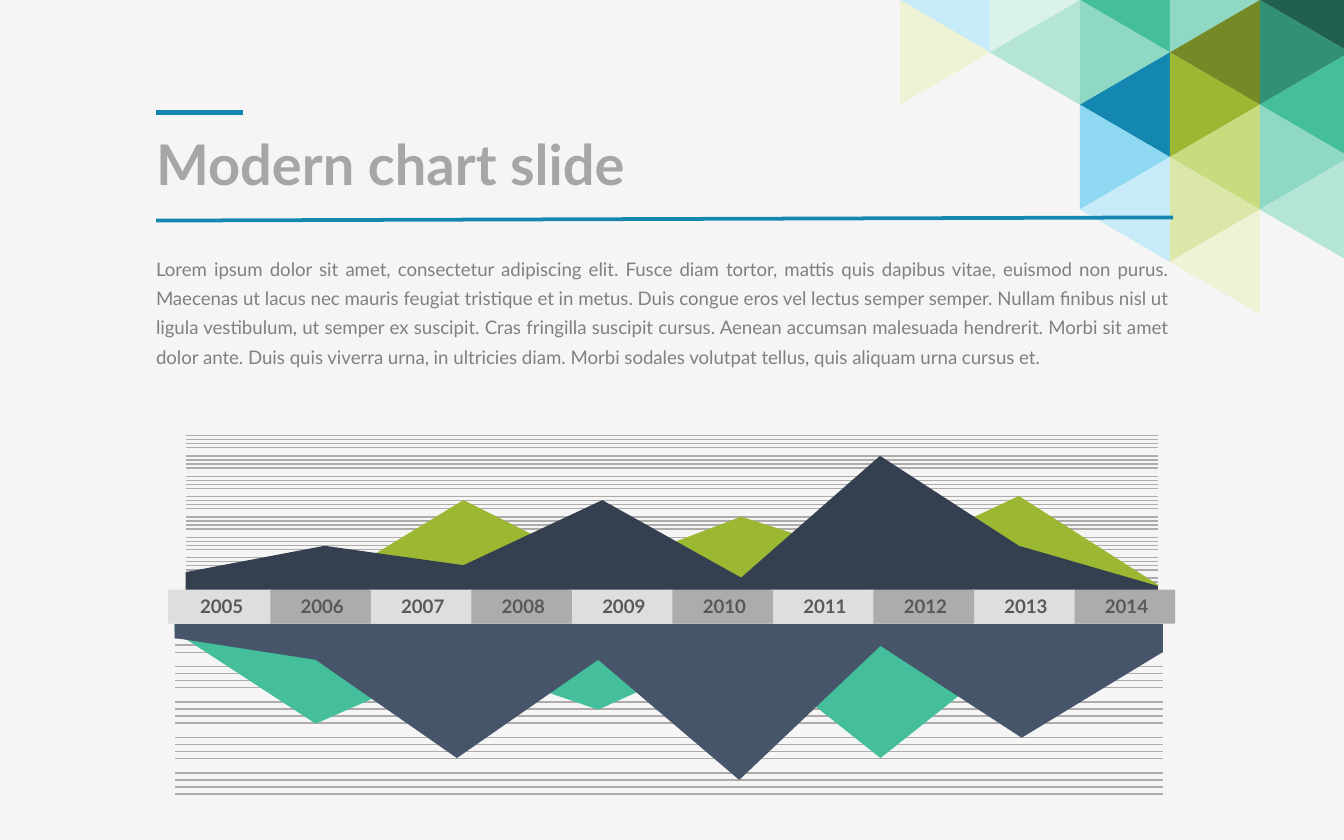
from dataclasses import dataclass

from lxml import etree
from pptx import Presentation
from pptx.chart.data import CategoryChartData
from pptx.dml.color import RGBColor
from pptx.enum.chart import XL_CHART_TYPE
from pptx.enum.shapes import MSO_CONNECTOR, MSO_SHAPE
from pptx.enum.text import MSO_ANCHOR, MSO_AUTO_SIZE, PP_ALIGN
from pptx.oxml import parse_xml
from pptx.oxml.ns import nsdecls, qn
from pptx.util import Cm, Pt

AREA = XL_CHART_TYPE.AREA
STRAIGHT = MSO_CONNECTOR.STRAIGHT
RECTANGLE, TRIANGLE = MSO_SHAPE.RECTANGLE, MSO_SHAPE.ISOSCELES_TRIANGLE
TOP, MIDDLE = MSO_ANCHOR.TOP, MSO_ANCHOR.MIDDLE
LEFT, CENTER, JUSTIFY = PP_ALIGN.LEFT, PP_ALIGN.CENTER, PP_ALIGN.JUSTIFY


@dataclass(frozen=True)
class Theme:
    font: str = "Lato"
    chart_font: str = "Calibri"
    background: str = "F5F5F5"
    accent: str = "1487B1"
    title: str = "A6A6A6"
    body: str = "808080"
    year: str = "595959"
    grid: str = "AFABAB"
    band_light: str = "DEDEDE"
    band_dark: str = "ACACAC"
    title_size: int = 30
    text_size: int = 10
    chart_size: int = 18


THEME = Theme()

BODY = (
    "Lorem ipsum dolor sit amet, consectetur adipiscing elit. Fusce diam tortor, "
    "mattis quis dapibus vitae, euismod non purus. Maecenas ut lacus nec mauris "
    "feugiat tristique et in metus. Duis congue eros vel lectus semper semper. "
    "Nullam finibus nisl ut ligula vestibulum, ut semper ex suscipit. Cras fringilla "
    "suscipit cursus. Aenean accumsan malesuada hendrerit. Morbi sit amet dolor ante. "
    "Duis quis viverra urna, in ultricies diam. Morbi sodales volutpat tellus, quis "
    "aliquam urna cursus et."
)
YEARS = range(2005, 2015)

# Columns of the corner mosaic, left to right, each listed from the top down
MOSAIC = [
    ["C7EBF9", "EDF3D4"],
    ["DAF2EB", "B4E5D7"],
    ["44BE9B", "8FD8C3", "1487B1", "8FD8F2", "C7EBF9"],
    ["8FD8C3", "758A26", "9CB833", "C8DB7E", "DAE7A9", "EDF3D4"],
    ["21604E", "329075", "44BE9B", "8FD8C3", "B4E5D7"],
]

UPPER_SERIES = [
    ("Series 1", [16, 35, 21, 68, 12, 100, 35, 6], "34404F"),
    ("Series 2", [5, 7, 68, 18, 56, 24, 71, 7], "9CB833"),
]
LOWER_SERIES = [
    ("Series 1", [-9, -23, -86, -23, -100, -14, -73, -18], "46556A"),
    ("Series 2", [-5, -64, -24, -55, -14, -86, -14, -10], "44BE9B"),
]


def rgb(color):
    return RGBColor.from_string(color)


def add_filled(slide, kind, box, color):
    sp = slide.shapes.add_shape(kind, *map(Cm, box))
    sp.shadow.inherit = False
    sp.fill.solid()
    sp.fill.fore_color.rgb = rgb(color)
    sp.line.fill.background()
    return sp


def add_mosaic(slide):
    base, height = 1.98, 1.7
    for col, colors in enumerate(MOSAIC):
        for row, color in enumerate(colors):
            box = (16.87 + col * height, -0.85 + row * base / 2, base, height)
            sp = add_filled(slide, TRIANGLE, box, color)
            sp.rotation = 90 if (col + row) % 2 else 270


def add_rule(slide, start, end, width):
    line = slide.shapes.add_connector(STRAIGHT, *map(Cm, start + end))
    line.line.color.rgb = rgb(THEME.accent)
    line.line.width = Pt(width)
    etree.SubElement(line._element.spPr, qn("a:effectLst"))


def set_text(sp, text, size, color, align=LEFT, bold=False, anchor=TOP, wrap=True):
    tf = sp.text_frame
    tf.auto_size = MSO_AUTO_SIZE.NONE
    tf.word_wrap = wrap
    tf.vertical_anchor = anchor
    tf.margin_left = tf.margin_right = tf.margin_top = tf.margin_bottom = 0
    p = tf.paragraphs[0]
    p.text = text
    p.alignment = align
    p.font.name = THEME.font
    p.font.size = Pt(size)
    p.font.bold = bold
    p.font.color.rgb = rgb(color)
    return p


def add_title(slide, text):
    title = slide.shapes.title
    title.left, title.top, title.width, title.height = map(Cm, (2.95, 2.59, 19.2, 1))
    set_text(title, text, THEME.title_size, THEME.title, bold=True, anchor=MIDDLE)


def add_body(slide, text):
    sp = slide.shapes.add_textbox(*map(Cm, (2.95, 4.75, 19.12, 2.67)))
    p = set_text(sp, text, THEME.text_size, THEME.body, JUSTIFY)
    p.line_spacing = 1.3


def set_plot_layout(chart, layout):
    """Fix the inner plot area, as fractions of the chart, on a clear ground."""
    clear = f'<c:spPr {nsdecls("c", "a")}><a:noFill/><a:ln><a:noFill/></a:ln></c:spPr>'
    space = chart._chartSpace
    space.find(qn("c:chart")).addnext(parse_xml(clear))
    area = space.find(f'{qn("c:chart")}/{qn("c:plotArea")}')
    for old in area.findall(qn("c:layout")):
        area.remove(old)
    sizes = "".join(f'<c:{k} val="{v}"/>' for k, v in zip("xywh", layout))
    area.insert(0, parse_xml(
        f'<c:layout {nsdecls("c")}><c:manualLayout><c:layoutTarget val="inner"/>'
        f'<c:xMode val="edge"/><c:yMode val="edge"/>{sizes}'
        '</c:manualLayout></c:layout>'))
    area.append(parse_xml(clear))


def show_minor_gridlines(axis):
    axis.has_major_gridlines = False
    axis.has_minor_gridlines = True
    axis._element.find(qn("c:minorGridlines")).append(parse_xml(
        f'<c:spPr {nsdecls("c", "a")}><a:ln w="{Pt(0.75)}"><a:solidFill>'
        f'<a:srgbClr val="{THEME.grid}"/></a:solidFill></a:ln></c:spPr>'))


def add_area_chart(slide, top, series, layout, low, high, major):
    """Add an area chart with hidden axes and only minor gridlines."""
    data = CategoryChartData()
    data.categories = [str(n) for n in range(1, 9)]
    for name, values, _ in series:
        data.add_series(name, values)
    box = map(Cm, (3.07, top, 19.1, 3.86))
    chart = slide.shapes.add_chart(AREA, *box, data).chart
    chart.has_title = chart.has_legend = False
    chart.font.name = THEME.chart_font
    chart.font.size = Pt(THEME.chart_size)
    chart.font.color.rgb = rgb("000000")

    plot = chart.plots[0]
    plot.vary_by_categories = False
    for ser, (_, _, color) in zip(plot.series, series):
        ser.format.fill.solid()
        ser.format.fill.fore_color.rgb = rgb(color)
        ser.format.line.fill.background()

    axis = chart.value_axis
    axis.minimum_scale, axis.maximum_scale = low, high
    axis.major_unit, axis.minor_unit = major, major / 5
    show_minor_gridlines(axis)
    axis.visible = chart.category_axis.visible = False
    set_plot_layout(chart, layout)


def add_year_band(slide):
    for i in reversed(range(len(YEARS))):
        color = THEME.band_dark if i % 2 else THEME.band_light
        add_filled(slide, RECTANGLE, (3.18 + 1.9 * i, 11.15, 1.93, 0.64), color)
    for i, year in enumerate(YEARS):
        sp = slide.shapes.add_textbox(*map(Cm, (3.77 + 1.9 * i, 11.25, 0.84, 0.41)))
        set_text(sp, str(year), THEME.text_size, THEME.year, CENTER, True, wrap=False)


def main():
    prs = Presentation()
    prs.slide_width, prs.slide_height = Cm(25.4), Cm(15.88)
    slide = prs.slides.add_slide(prs.slide_layouts[5])
    slide.background.fill.solid()
    slide.background.fill.fore_color.rgb = rgb(THEME.background)

    add_mosaic(slide)
    add_rule(slide, (2.95, 4.17), (22.17, 4.11), 2)
    add_rule(slide, (4.6, 2.13), (2.95, 2.13), 3)
    add_title(slide, "Modern chart slide")
    add_body(slide, BODY)
    add_area_chart(slide, 7.44, UPPER_SERIES, (0.023, 0.186, 0.962, 0.798),
                   low=0, high=117.6, major=14.7)
    add_area_chart(slide, 11.46, LOWER_SERIES, (0.012, 0.087, 0.978, 0.869),
                   low=-113.65, high=0, major=22.73)
    add_year_band(slide)
    prs.save("out.pptx")


if __name__ == "__main__":
    main()
